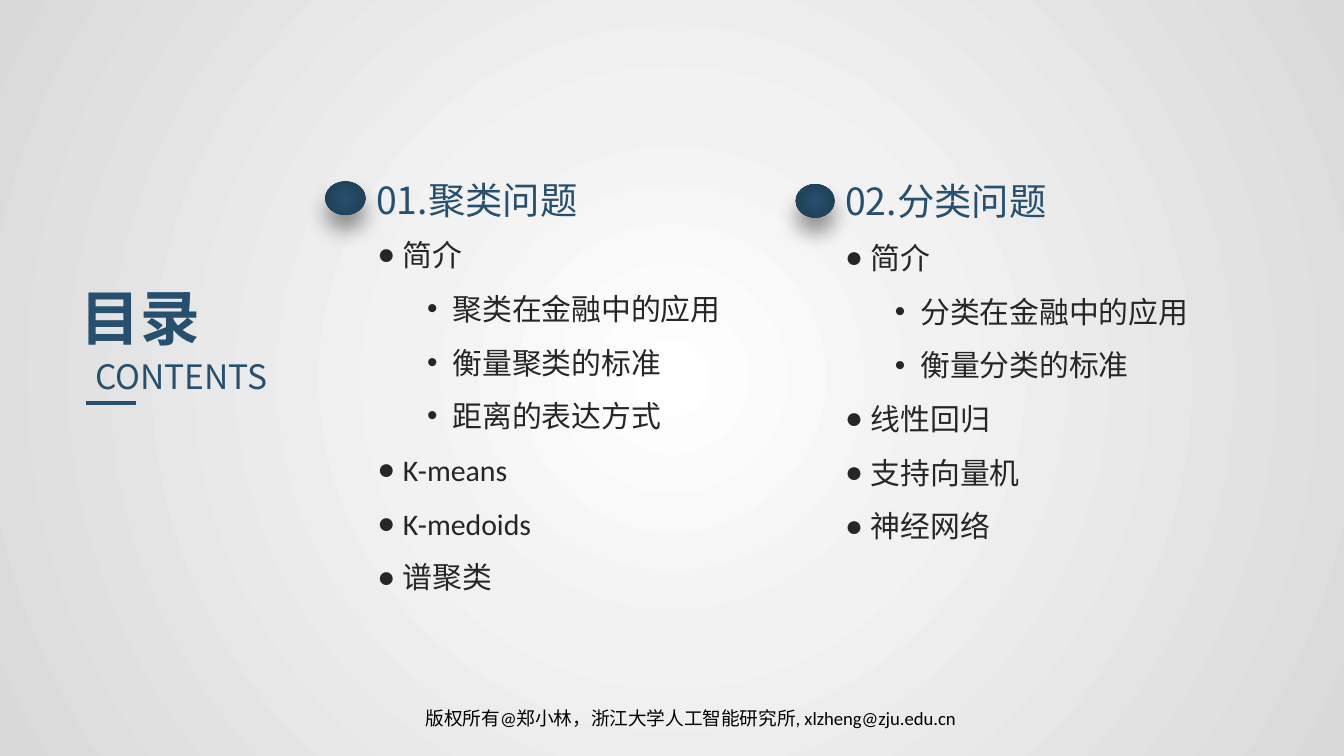
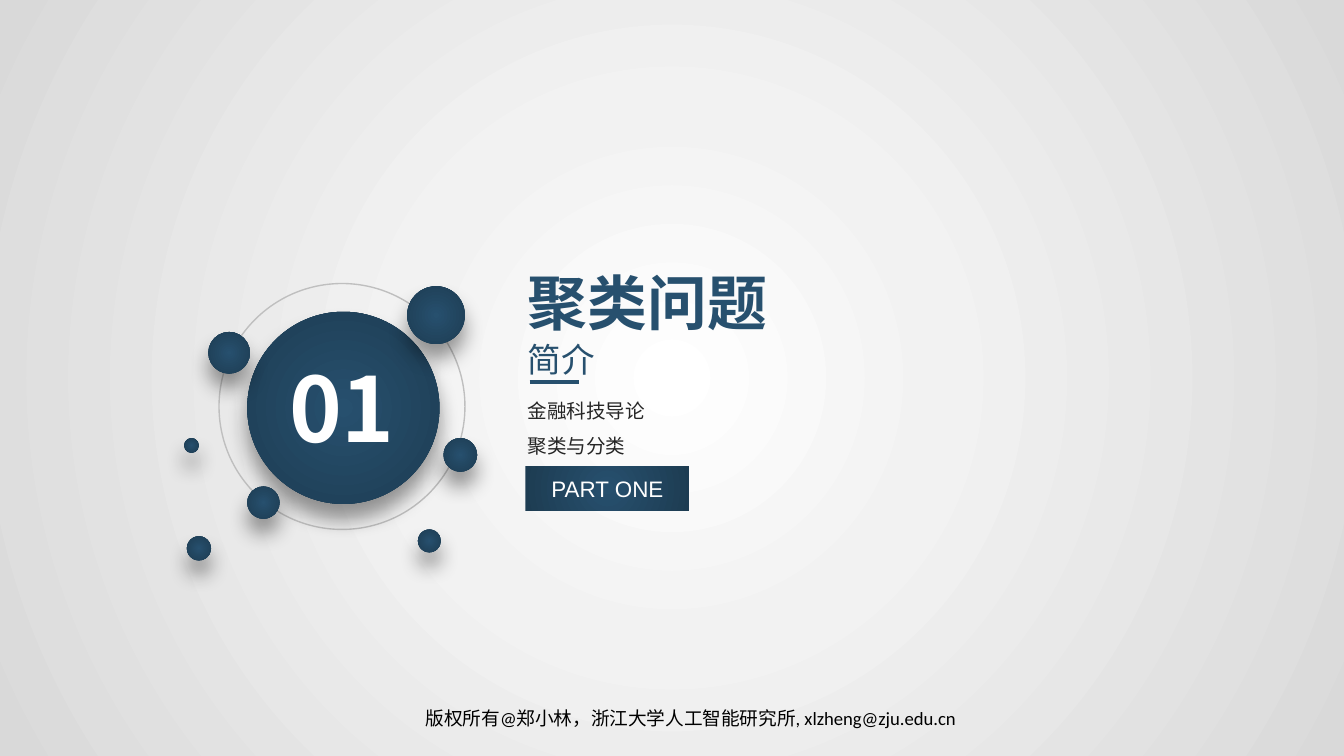
from dataclasses import dataclass
from typing import NamedTuple

from lxml import etree
from pptx import Presentation
from pptx.dml.color import RGBColor
from pptx.enum.shapes import MSO_CONNECTOR, MSO_SHAPE
from pptx.enum.text import MSO_ANCHOR, MSO_AUTO_SIZE, PP_ALIGN
from pptx.oxml.ns import qn
from pptx.util import Inches, Pt

OVAL = MSO_SHAPE.OVAL
RECTANGLE = MSO_SHAPE.RECTANGLE
STRAIGHT = MSO_CONNECTOR.STRAIGHT
MIDDLE = MSO_ANCHOR.MIDDLE
GROW = MSO_AUTO_SIZE.SHAPE_TO_FIT_TEXT
LEFT = PP_ALIGN.LEFT
CENTER = PP_ALIGN.CENTER


class Style(NamedTuple):
    size: float
    font: str
    color: str
    bold: bool = False


class Box(NamedTuple):
    left: float
    top: float
    width: float
    height: float

    def lengths(self) -> list:
        return [Inches(value) for value in self]


class Item(NamedTuple):
    text: str
    level: int = 0


class Chapter(NamedTuple):
    dot: Box
    heading: Box
    body: Box
    title: str
    items: list


class Dot(NamedTuple):
    left: float
    top: float
    diameter: float


# Shared look
@dataclass(frozen=True)
class Theme:
    navy: str = "27506E"
    ring: str = "BFBFBF"
    east_asian: str = "Noto Sans CJK SC"
    background: tuple = ((0, "FFFFFF"), (35, "F2F2F2"), (100, "D9D9D9"))
    glow: tuple = ((0, "27506E"), (100, "1D3C52"))
    title: Style = Style(32, "Noto Sans CJK SC", "27506E", True)
    subtitle: Style = Style(18, "Noto Sans CJK SC", "27506E")
    heading: Style = Style(20, "Noto Sans CJK SC", "27506E")
    body: Style = Style(16, "Calibri", "262626")
    detail: Style = Style(10.5, "Calibri", "262626")
    number: Style = Style(48, "Noto Sans CJK SC", "FFFFFF", True)
    label: Style = Style(12, "Arial", "FFFFFF")
    footer: Style = Style(10, "Calibri", "000000")
    line_spacing: float = 1.5


THEME = Theme()
SLIDE_WIDTH = 10
SLIDE_HEIGHT = SLIDE_WIDTH * 9 / 16
FOOTER = "版权所有@郑小林，浙江大学人工智能研究所, xlzheng@zju.edu.cn"
BULLETS = ("●", "•")
BULLET_INDENTS = (0.19, 0.56)
BULLET_HANGING = 0.19
RULE_LENGTH = 0.37

CHAPTERS = [
    Chapter(
        Box(2.42, 1.35, 0.3, 0.25), Box(2.7, 1.27, 2.02, 0.44),
        Box(2.71, 1.58, 3.22, 2.93), "01.聚类问题",
        [Item("简介"), Item("聚类在金融中的应用", 1), Item("衡量聚类的标准", 1),
         Item("距离的表达方式", 1), Item("K-means"), Item("K-medoids"),
         Item("谱聚类")],
    ),
    Chapter(
        Box(5.92, 1.37, 0.29, 0.25), Box(6.19, 1.28, 1.94, 0.44),
        Box(6.19, 1.6, 3.08, 2.52), "02.分类问题",
        [Item("简介"), Item("分类在金融中的应用", 1), Item("衡量分类的标准", 1),
         Item("线性回归"), Item("支持向量机"), Item("神经网络")],
    ),
]

SATELLITES = [
    Dot(3.03, 2.13, 0.43), Dot(1.55, 2.47, 0.31), Dot(1.39, 3.99, 0.18),
    Dot(1.84, 3.62, 0.24), Dot(3.3, 3.26, 0.25), Dot(3.11, 3.94, 0.17),
    Dot(1.37, 3.26, 0.11),
]


# Fills and effects
def replace_with_gradient(solid, stops: tuple) -> None:
    """Swap a solid fill element for a circular gradient."""
    gradient = etree.Element(qn("a:gradFill"), rotWithShape="1")
    stop_list = etree.SubElement(gradient, qn("a:gsLst"))
    for position, color in stops:
        stop = etree.SubElement(stop_list, qn("a:gs"), pos=str(position * 1000))
        etree.SubElement(stop, qn("a:srgbClr"), val=color)
    circle = etree.SubElement(gradient, qn("a:path"))
    circle.set("path", "circle")
    etree.SubElement(circle, qn("a:fillToRect"),
                     l="50000", t="50000", r="50000", b="50000")
    solid.getparent().replace(solid, gradient)


def add_drop_shadow(shape) -> None:
    effects = shape.element.spPr.find(qn("a:effectLst"))
    shadow = etree.SubElement(
        effects, qn("a:outerShdw"), blurRad=str(Pt(11)), dist=str(Pt(8)),
        dir=str(90 * 60000), algn="t", rotWithShape="0")
    color = etree.SubElement(shadow, qn("a:srgbClr"), val="000000")
    etree.SubElement(color, qn("a:alpha"), val="40000")


# Text
def add_bullet(paragraph, level: int) -> None:
    paragraph.level = level
    properties = paragraph._p.get_or_add_pPr()
    properties.set("marL", str(Inches(BULLET_INDENTS[level])))
    properties.set("indent", str(-Inches(BULLET_HANGING)))
    etree.SubElement(properties, qn("a:buFont"), typeface="Arial")
    etree.SubElement(properties, qn("a:buChar"), char=BULLETS[level])


def style_paragraph(paragraph, style: Style, align=LEFT) -> None:
    paragraph.alignment = align
    font = paragraph.font
    font.size = Pt(style.size)
    font.name = style.font
    font.bold = style.bold
    font.color.rgb = RGBColor.from_string(style.color)
    defaults = paragraph._p.pPr.find(qn("a:defRPr"))
    etree.SubElement(defaults, qn("a:ea"), typeface=THEME.east_asian)


def add_text(shapes, box: Box, items: list, style: Style, align=LEFT,
             wrap: bool = False, grow: bool = True, bullets: bool = False,
             spacing: float = 1.0) -> None:
    frame = shapes.add_textbox(*box.lengths()).text_frame
    frame.word_wrap = wrap
    if grow:
        frame.auto_size = GROW
    for index, item in enumerate(items):
        paragraph = frame.add_paragraph() if index else frame.paragraphs[0]
        paragraph.text = item.text
        paragraph.line_spacing = spacing
        if bullets:
            add_bullet(paragraph, item.level)
        style_paragraph(paragraph, style, align)


# Shapes
def add_glow_shape(shapes, kind, box: Box, shadow: bool = True):
    shape = shapes.add_shape(kind, *box.lengths())
    shape.shadow.inherit = False
    shape.line.fill.background()
    shape.fill.solid()
    replace_with_gradient(shape.element.spPr.find(qn("a:solidFill")), THEME.glow)
    if shadow:
        add_drop_shadow(shape)
    return shape


def add_rule(shapes, left: float, top: float) -> None:
    rule = shapes.add_connector(STRAIGHT, Inches(left), Inches(top),
                                Inches(left + RULE_LENGTH), Inches(top))
    rule.line.color.rgb = RGBColor.from_string(THEME.navy)
    rule.line.width = Pt(2.25)
    etree.SubElement(rule.element.spPr, qn("a:effectLst"))


def add_slide(presentation):
    slide = presentation.slides.add_slide(presentation.slide_layouts[6])
    slide.background.fill.solid()
    solid = slide.element.xpath(".//p:bgPr/a:solidFill")[0]
    replace_with_gradient(solid, THEME.background)
    return slide


def add_footer(shapes) -> None:
    add_text(shapes, Box(3.07, 5.21, 5.16, 0.3), [Item(FOOTER)], THEME.footer,
             wrap=True, grow=False)


# Slides
def build_contents(presentation) -> None:
    shapes = add_slide(presentation).shapes
    for chapter in CHAPTERS:
        group = shapes.add_group_shape().shapes
        add_glow_shape(group, OVAL, chapter.dot)
        add_text(group, chapter.heading, [Item(chapter.title)], THEME.heading)
        add_text(group, chapter.body, chapter.items, THEME.body, wrap=True,
                 bullets=True, spacing=THEME.line_spacing)
    add_text(shapes, Box(0.5, 2.04, 1.11, 0.64), [Item("目录")], THEME.title)
    add_text(shapes, Box(0.57, 2.6, 1.56, 0.4), [Item("CONTENTS")],
             THEME.subtitle, CENTER)
    add_rule(shapes, 0.64, 3)
    add_footer(shapes)


def build_section(presentation) -> None:
    shapes = add_slide(presentation).shapes

    # Ring and numbered disc
    ring = shapes.add_shape(OVAL, *Box(1.63, 2.11, 1.83, 1.83).lengths())
    ring.shadow.inherit = False
    ring.fill.background()
    ring.line.color.rgb = RGBColor.from_string(THEME.ring)
    ring.line.width = Pt(0.75)
    add_glow_shape(shapes, OVAL, Box(1.84, 2.32, 1.43, 1.43))
    add_text(shapes, Box(2.03, 2.58, 1.03, 0.91), [Item("01")],
             THEME.number, CENTER)

    # Section title
    add_text(shapes, Box(3.83, 1.93, 2, 0.64), [Item("聚类问题")], THEME.title)
    add_text(shapes, Box(3.82, 2.47, 0.71, 0.4), [Item("简介")],
             THEME.subtitle, CENTER)
    add_rule(shapes, 3.94, 2.84)
    add_text(shapes, Box(3.83, 2.83, 4.51, 0.63),
             [Item("金融科技导论"), Item("聚类与分类")], THEME.detail,
             wrap=True, spacing=THEME.line_spacing)

    # Part label
    label = add_glow_shape(shapes, RECTANGLE, Box(3.91, 3.47, 1.22, 0.33),
                           shadow=False)
    label.text_frame.text = "PART ONE"
    label.text_frame.vertical_anchor = MIDDLE
    style_paragraph(label.text_frame.paragraphs[0], THEME.label, CENTER)

    # Satellite dots
    for dot in SATELLITES:
        add_glow_shape(shapes, OVAL,
                       Box(dot.left, dot.top, dot.diameter, dot.diameter))
    add_footer(shapes)


def main() -> None:
    presentation = Presentation()
    presentation.slide_width = Inches(SLIDE_WIDTH)
    presentation.slide_height = Inches(SLIDE_HEIGHT)
    build_contents(presentation)
    build_section(presentation)
    presentation.save("out.pptx")


if __name__ == "__main__":
    main()
